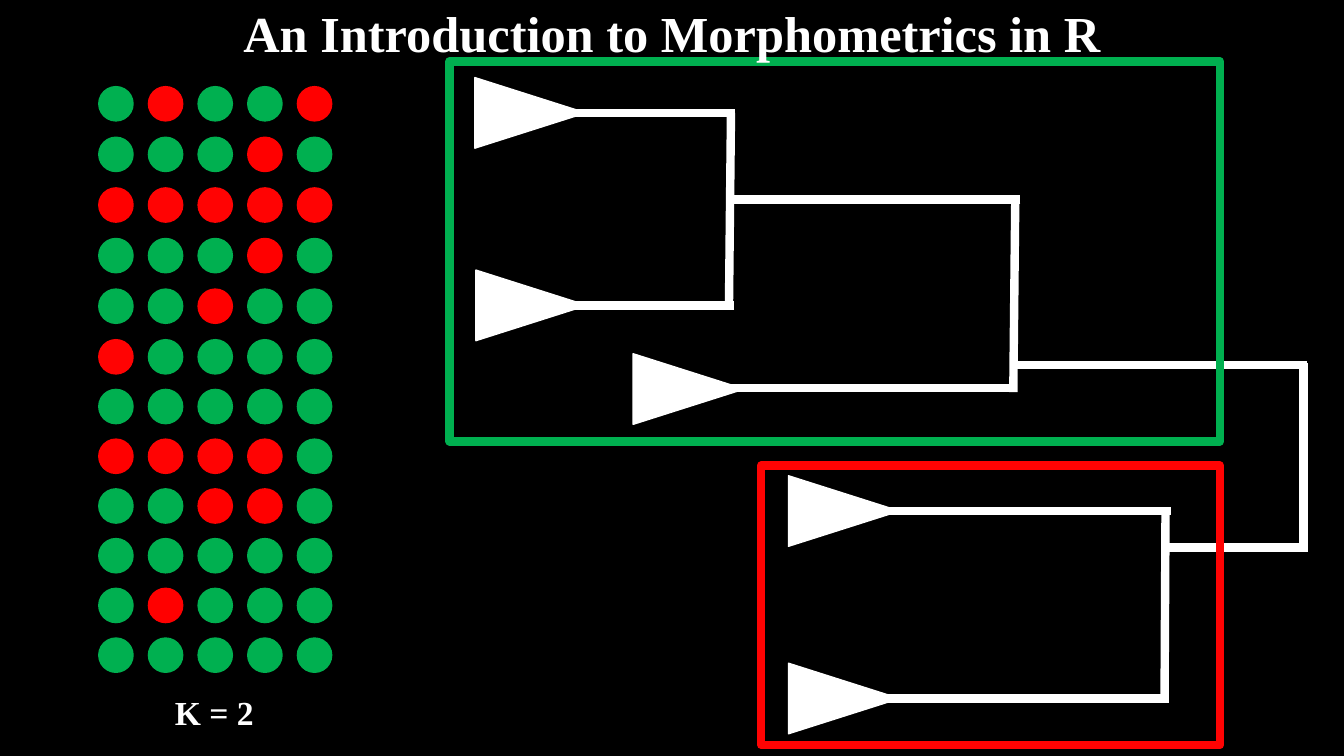
from pptx import Presentation
from pptx.dml.color import RGBColor
from pptx.enum.shapes import MSO_CONNECTOR, MSO_SHAPE
from pptx.enum.text import MSO_ANCHOR, PP_ALIGN
from pptx.oxml.ns import qn
from pptx.util import Inches, Pt
from lxml.etree import SubElement

BLACK = RGBColor(0x00, 0x00, 0x00)
WHITE = RGBColor(0xFF, 0xFF, 0xFF)
GREEN = RGBColor(0x00, 0xB0, 0x50)
RED = RGBColor(0xFF, 0x00, 0x00)
LIGHT_RED = RGBColor(0xFF, 0x03, 0x03)

prs = Presentation()
prs.slide_width, prs.slide_height = Inches(13.33), Inches(7.5)
slide = prs.slides.add_slide(prs.slide_layouts[5])
slide.background.fill.solid()
slide.background.fill.fore_color.rgb = BLACK
shapes = slide.shapes


def add_solid(kind, left, top, width, height, color):
    shape = shapes.add_shape(kind, Inches(left), Inches(top), Inches(width), Inches(height))
    shape.shadow.inherit = False
    shape.fill.solid()
    shape.fill.fore_color.rgb = color
    shape.line.color.rgb = color
    shape.line.width = Pt(1)
    return shape


def set_text(box, text, size):
    frame = box.text_frame
    frame.word_wrap = True
    frame.vertical_anchor = MSO_ANCHOR.MIDDLE
    frame.text = text
    para = frame.paragraphs[0]
    para.alignment = PP_ALIGN.CENTER
    para.font.name = "Times New Roman"
    para.font.size = Pt(size)
    para.font.bold = True
    para.font.color.rgb = WHITE


# Grid of specimens, coloured by cluster
COLORS = {"G": GREEN, "R": RED, "r": LIGHT_RED}
GRID = [
    "GrGGR", "GGGRG", "Rrrrr", "GGGRG", "GGRGG", "rGGGG",
    "GGGGG", "RrrrG", "GGRRG", "GGGGG", "GRGGG", "GGGGG",
]
col_gap = (2.95 - 0.98) / 4
top_gap = (3.37 - 0.86) / 5
low_gap = (6.33 - 3.37) / 6
for row, marks in enumerate(GRID):
    top = 0.86 + min(row, 5) * top_gap + max(row - 5, 0) * low_gap
    for col, mark in enumerate(marks):
        add_solid(MSO_SHAPE.OVAL, 0.98 + col * col_gap, top, 0.34, 0.34, COLORS[mark])

# Cluster count
label = shapes.add_textbox(Inches(1.17), Inches(6.81), Inches(1.91), Inches(0.5))
set_text(label, "K = 2", 24)

# Tree branches: x1, y1, x2, y2
BRANCHES = [
    (11.55, 6.96, 11.56, 5.05),
    (12.93, 3.6, 12.93, 5.48),
    (12.96, 5.43, 11.56, 5.43),
    (11.61, 5.07, 8.74, 5.07),
    (12.96, 3.62, 10.09, 3.62),
    (11.59, 6.93, 8.72, 6.93),
    (10.05, 3.89, 10.07, 1.97),
    (10.09, 3.85, 7.23, 3.85),
    (10.12, 1.98, 7.25, 1.98),
    (7.23, 3.04, 7.25, 1.12),
    (7.29, 1.12, 5.56, 1.12),
    (7.28, 3.03, 5.56, 3.03),
]
for ends in BRANCHES:
    branch = shapes.add_connector(MSO_CONNECTOR.STRAIGHT, *[Inches(v) for v in ends])
    branch.line.color.rgb = WHITE
    branch.line.width = Pt(6)
    SubElement(branch._element.spPr, qn("a:effectLst"))

# Collapsed tips of the tree
for left, top in [(8.02, 4.52), (8.02, 6.38), (6.48, 3.31), (4.92, 2.48), (4.91, 0.57)]:
    tip = add_solid(MSO_SHAPE.ISOSCELES_TRIANGLE, left, top, 0.7, 1.1, WHITE)
    tip.rotation = 90

# Frames around the two clusters
for area, color in [((4.46, 0.61, 7.64, 3.77), GREEN), ((7.55, 4.62, 4.55, 2.77), LIGHT_RED)]:
    frame = add_solid(MSO_SHAPE.RECTANGLE, *area, color)
    frame.fill.background()
    frame.line.width = Pt(6)

# Title, in front of the frames
title = shapes.title
title.left, title.top = Inches(0), Inches(-0.03)
title.width, title.height = Inches(13.33), Inches(0.71)
set_text(title, "An Introduction to Morphometrics in R", 36)
shapes._spTree.append(title._element)

prs.save("out.pptx")
